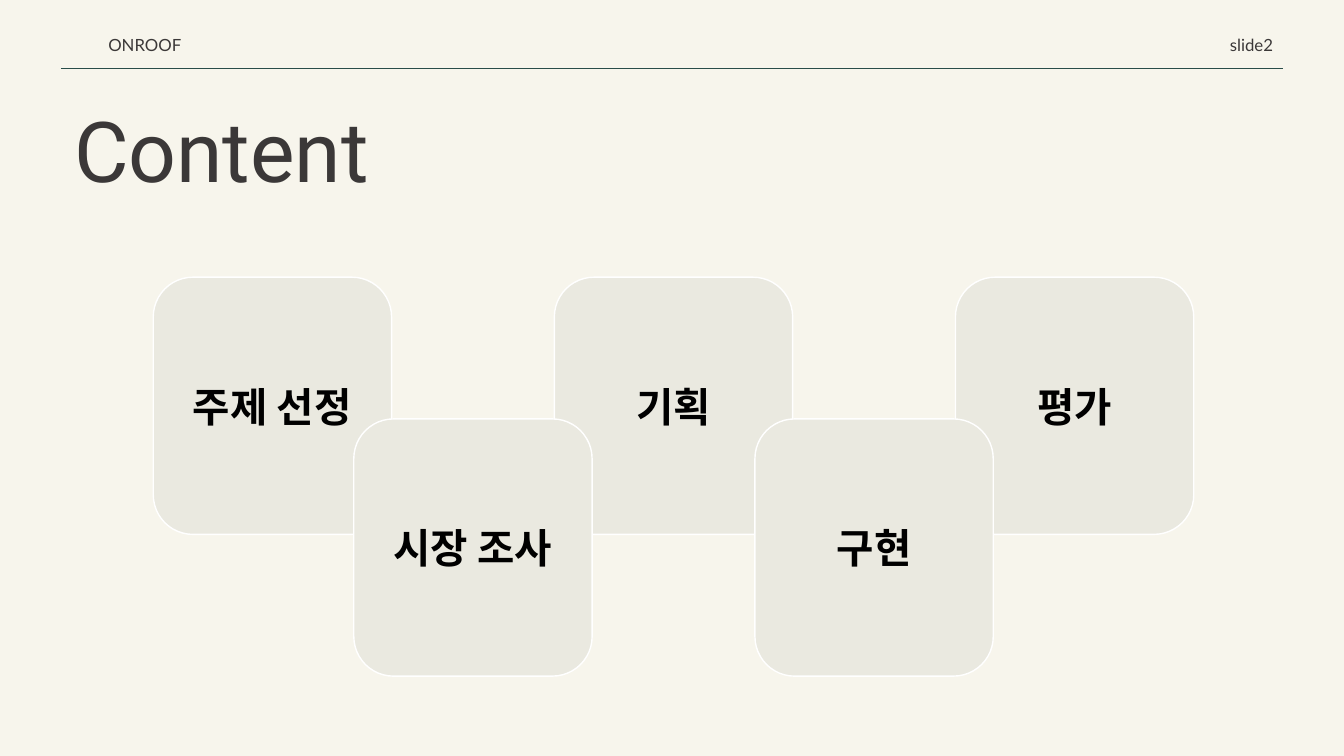
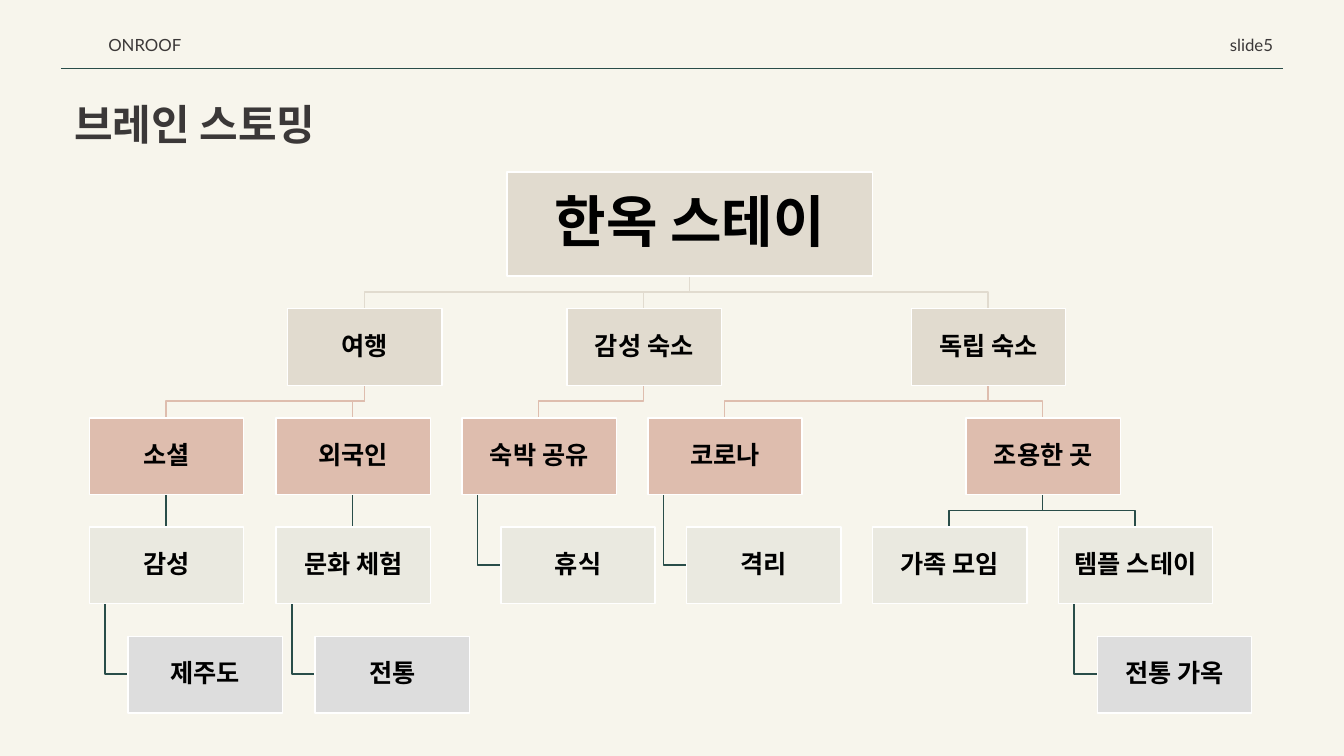
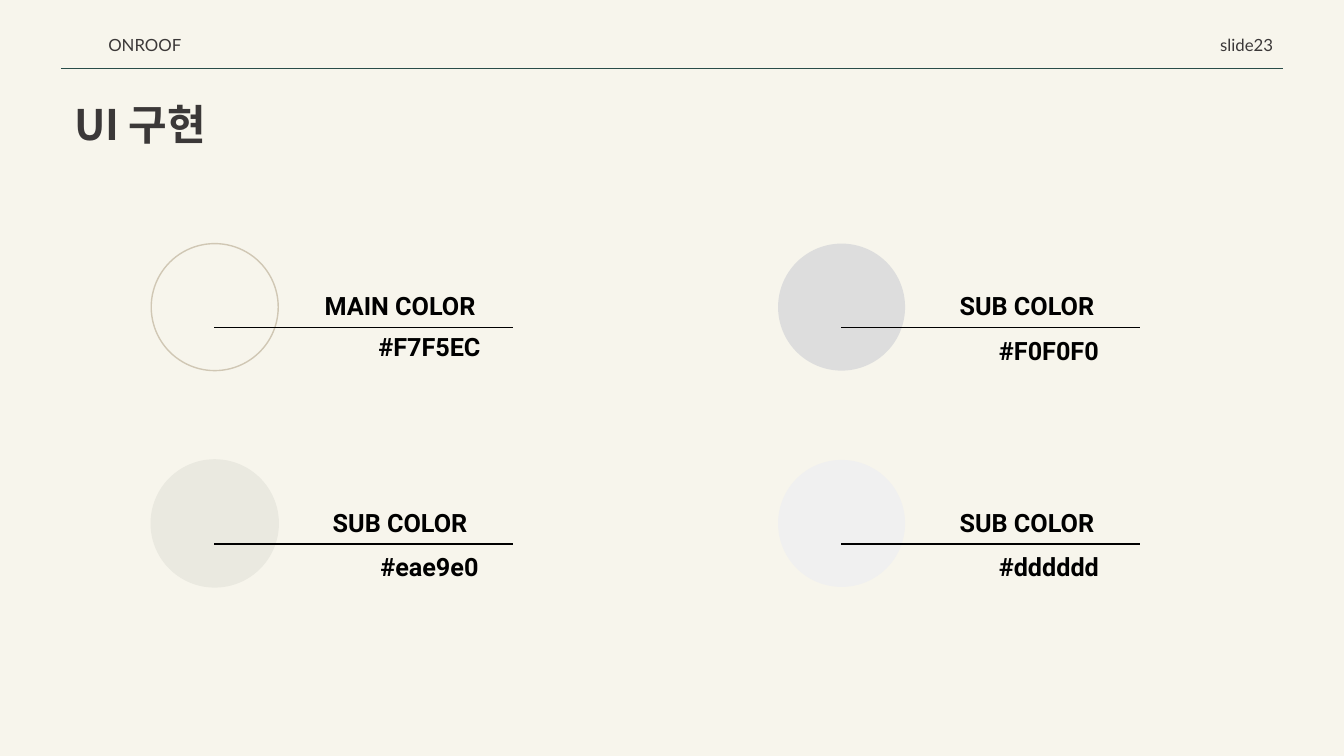
from dataclasses import dataclass

from lxml import etree
from pptx import Presentation
from pptx import util as u
from pptx.dml import color
from pptx.enum import shapes, text
from pptx.oxml import ns

PX = 9525  # EMU in one px
LEFT, CENTER, RIGHT = text.PP_ALIGN.LEFT, text.PP_ALIGN.CENTER, text.PP_ALIGN.RIGHT


@dataclass(frozen=True)
class TextStyle:
    font: str
    size: int
    colour: str
    bold: bool = False


class Theme:
    page, ink, black, white = "F7F5EC", "3B3838", "000000", "FFFFFF"
    green, sand, rose, sage, grey = "294D49", "E1DBCF", "DEBDAE", "EAE9E0", "DDDDDD"
    ring, pale = "D0C7B4", "F0F0F0"
    korean = "Noto Sans CJK KR"
    header = TextStyle("Lato", 12, ink)
    cover_title = TextStyle("Roboto", 60, ink)
    title = TextStyle(korean, 30, ink, True)
    card = TextStyle(korean, 29, black, True)
    root = TextStyle(korean, 40, black, True)
    node = TextStyle(korean, 18, black, True)
    swatch = TextStyle("Roboto", 18, black, True)


@dataclass(frozen=True)
class Node:
    label: str
    left: int
    children: tuple = ()
    hanging: bool = False  # drawn beside the stem of its parent


@dataclass(frozen=True)
class Swatch:
    role: str
    code: str
    fill: str
    line: str | None
    code_offset: tuple


CARDS = ["주제 선정", "시장 조사", "기획", "구현", "평가"]

IDEAS = Node("한옥 스테이", 483, (
    Node("여행", 274, (
        Node("소셜", 85, (
            Node("감성", 85, (Node("제주도", 122, hanging=True),)),)),
        Node("외국인", 263, (
            Node("문화 체험", 263, (Node("전통", 300, hanging=True),)),)),
    )),
    Node("감성 숙소", 540, (
        Node("숙박 공유", 440, (Node("휴식", 477, hanging=True),)),
    )),
    Node("독립 숙소", 868, (
        Node("코로나", 617, (Node("격리", 654, hanging=True),)),
        Node("조용한 곳", 920, (
            Node("가족 모임", 831),
            Node("템플 스테이", 1008, (Node("전통 가옥", 1045, hanging=True),)),
        )),
    )),
))

# Row by row, two in each row
SWATCHES = [
    Swatch("MAIN COLOR", "#F7F5EC", Theme.page, Theme.ring, (193, 79)),
    Swatch("SUB COLOR", "#F0F0F0", Theme.grey, None, (186, 83)),
    Swatch("SUB COLOR", "#eae9e0", Theme.sage, Theme.sage, (193, 82)),
    Swatch("SUB COLOR", "#dddddd", Theme.pale, None, (186, 82)),
]


def emu(*lengths):
    return [u.Emu(length * PX) for length in lengths]


def rgb(value):
    return color.RGBColor.from_string(value)


def write(shape, content, style, align=CENTER, anchor=text.MSO_ANCHOR.MIDDLE):
    frame = shape.text_frame
    frame.text = content
    frame.word_wrap = True
    frame.vertical_anchor = anchor
    paragraph = frame.paragraphs[0]
    paragraph.alignment = align
    font = paragraph.runs[0].font
    font.name, font.size, font.bold = style.font, u.Pt(style.size), style.bold
    font.color.rgb = rgb(style.colour)
    for latin in list(shape.element.iter(ns.qn("a:latin"))):
        east_asian = etree.Element(ns.qn("a:ea"), typeface=style.font)
        latin.addnext(east_asian)


def add_label(slide, box, content, style, align=CENTER, anchor=text.MSO_ANCHOR.TOP):
    label = slide.shapes.add_textbox(*emu(*box))
    write(label, content, style, align, anchor)
    return label


def add_filled(slide, preset, box, fill, line=None):
    shape = slide.shapes.add_shape(preset, *emu(*box))
    shape.shadow.inherit = False
    shape.fill.solid()
    shape.fill.fore_color.rgb = rgb(fill)
    if line:
        shape.line.color.rgb = rgb(line)
        shape.line.width = u.Pt(1)
    else:
        shape.line.fill.background()
    return shape


def add_line(slide, start, end, colour, width=1):
    line = slide.shapes.add_connector(
        shapes.MSO_CONNECTOR.STRAIGHT, *emu(*start, *end))
    line.line.color.rgb = rgb(colour)
    line.line.width = u.Pt(width)
    etree.SubElement(line.element.find(ns.qn("p:spPr")), ns.qn("a:effectLst"))
    return line


def add_elbow(slide, points, colour):
    first, *rest = [emu(*point) for point in points]
    builder = slide.shapes.build_freeform(*first)
    builder.add_line_segments(rest, close=False)
    elbow = builder.convert_to_shape()
    elbow.shadow.inherit = False
    elbow.fill.background()
    elbow.line.color.rgb = rgb(colour)
    elbow.line.width = u.Pt(1)


def add_page(presentation, layout, number, title, style, title_size):
    """Add a slide with its header and title."""
    slide = presentation.slides.add_slide(layout)
    heading = slide.shapes.title
    heading.left, heading.top, heading.width, heading.height = emu(61, 89, *title_size)
    write(heading, title, style, LEFT, text.MSO_ANCHOR.TOP)
    heading.text_frame.auto_size = text.MSO_AUTO_SIZE.SHAPE_TO_FIT_TEXT
    middle = text.MSO_ANCHOR.MIDDLE
    add_label(slide, (49, 24, 178, 38), "ONROOF", Theme.header, CENTER, middle)
    add_label(slide, (1022, 24, 200, 38), f"slide{number}", Theme.header, RIGHT, middle)
    return slide


def add_cards(slide, left, top):
    """Place overlapping cards in two staggered rows, the lower row in front."""
    step, drop, width, height = 191, 135, 227, 245
    for row in range(2):
        for index in range(row, len(CARDS), 2):
            box = (left + index * step, top + row * drop, width, height)
            card = add_filled(slide, shapes.MSO_SHAPE.ROUNDED_RECTANGLE, box,
                              Theme.sage, Theme.white)
            write(card, CARDS[index], Theme.card)


def node_box(node, depth, top):
    if depth == 0:
        return node.left, top, 348, 99
    return node.left, top + 130 + (depth - 1) * 104, 147, 73


def add_branches(slide, node, top, depth=0):
    """Draw the lines from a node to all nodes under it."""
    colours = [Theme.sand, Theme.rose, Theme.green, Theme.green]
    left, box_top, width, height = node_box(node, depth, top)
    bottom, center = box_top + height, left + width // 2
    for child in node.children:
        child_left, child_top, child_width, child_height = node_box(child, depth + 1, top)
        child_center = child_left + child_width // 2
        if child.hanging:
            stem, level = left + 15, child_top + child_height // 2
            points = [(stem, bottom), (stem, level), (child_left, level)]
            add_elbow(slide, points, colours[depth])
        elif child_center == center:
            add_line(slide, (center, bottom), (center, child_top), colours[depth])
        else:
            bend = (bottom + child_top) // 2
            points = [(center, bottom), (center, bend),
                      (child_center, bend), (child_center, child_top)]
            add_elbow(slide, points, colours[depth])
        add_branches(slide, child, top, depth + 1)


def add_nodes(slide, node, top, depth=0):
    fills = [Theme.sand, Theme.sand, Theme.rose, Theme.sage, Theme.grey]
    shape = add_filled(slide, shapes.MSO_SHAPE.RECTANGLE, node_box(node, depth, top),
                       fills[depth], Theme.white)
    write(shape, node.label, Theme.node if depth else Theme.root)
    frame = shape.text_frame
    margin = u.Emu((1 if depth else 3) * PX)
    frame.margin_left = frame.margin_right = margin
    frame.margin_top = frame.margin_bottom = margin
    frame.paragraphs[0].line_spacing = 0.9
    for child in node.children:
        add_nodes(slide, child, top, depth + 1)


def add_swatch(slide, swatch, left, top):
    size = 121
    add_filled(slide, shapes.MSO_SHAPE.OVAL, (left, top, size, size),
               swatch.fill, swatch.line)
    start, level = left + size // 2, top + 80
    add_line(slide, (start, level), (start + 285, level), Theme.black, 1.25)
    add_label(slide, (left + 136, top + 40, 202, 38), swatch.role, Theme.swatch)
    code_left, code_top = swatch.code_offset
    add_label(slide, (left + code_left, top + code_top, 144, 38),
              swatch.code, Theme.swatch)


def main():
    presentation = Presentation()
    presentation.slide_width, presentation.slide_height = emu(1280, 720)
    background = presentation.slide_master.background.fill
    background.solid()
    background.fore_color.rgb = rgb(Theme.page)
    layout = presentation.slide_layouts.get_by_name("Title Only")

    content = add_page(presentation, layout, 2, "Content", Theme.cover_title, (658, 107))
    header_rule = add_line(content, (58, 65), (1222, 65), Theme.green)
    layout.shapes.element.append(header_rule.element)  # shared by every slide
    add_cards(content, 146, 264)

    brainstorm = add_page(presentation, layout, 5, "브레인 스토밍", Theme.title, (1004, 59))
    add_branches(brainstorm, IDEAS, 164)
    add_nodes(brainstorm, IDEAS, 164)

    palette = add_page(presentation, layout, 23, "UI 구현", Theme.title, (1004, 59))
    for index, swatch in enumerate(SWATCHES):
        row, column = divmod(index, 2)
        add_swatch(palette, swatch, 144 + column * 597, 232 + row * 206)

    presentation.save("out.pptx")


if __name__ == "__main__":
    main()
